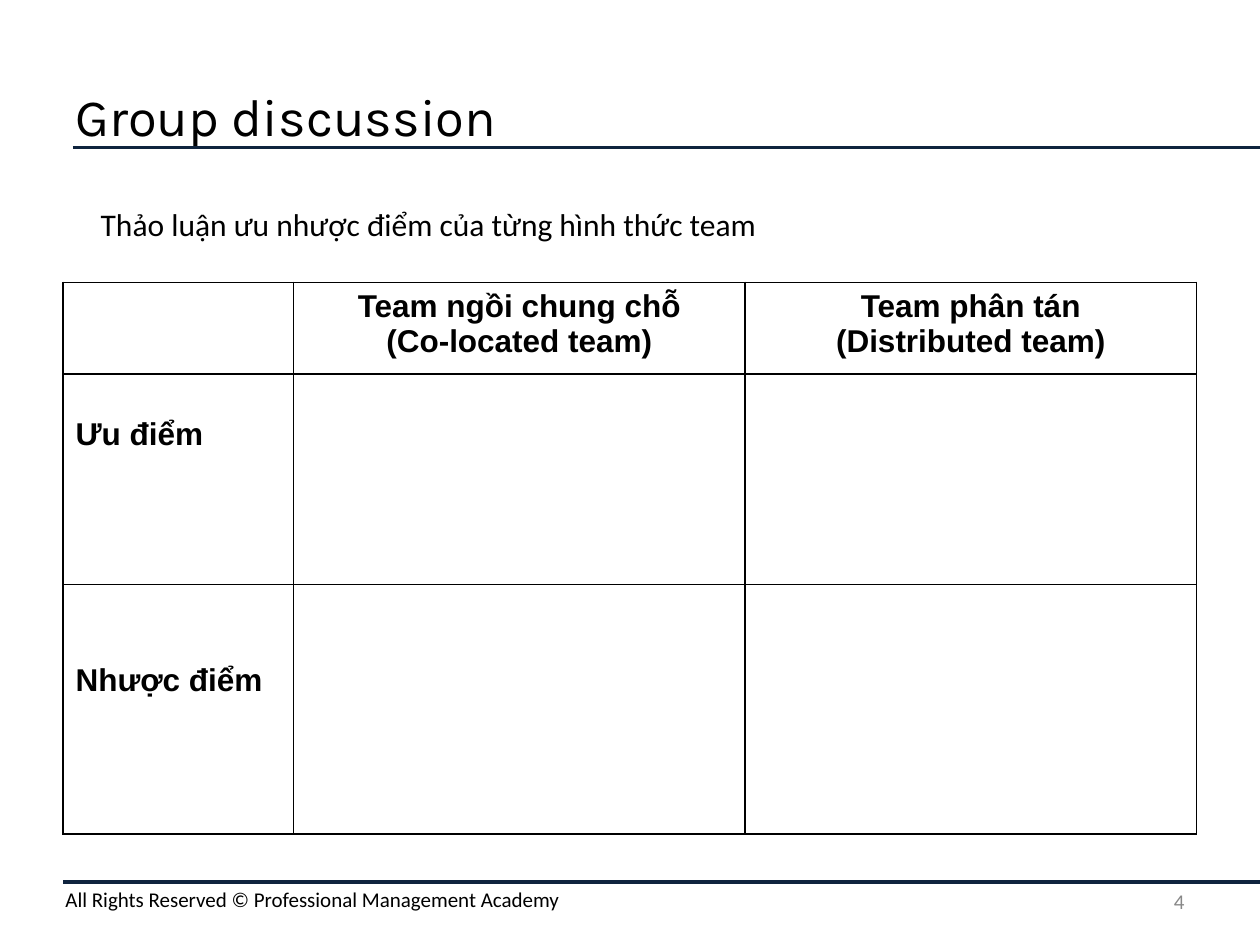
from dataclasses import dataclass
from typing import Any

from lxml.etree import SubElement
from pptx import Presentation
from pptx.dml.color import RGBColor
from pptx.enum.shapes import MSO_CONNECTOR
from pptx.enum.text import MSO_ANCHOR, MSO_AUTO_SIZE, PP_ALIGN
from pptx.oxml.ns import qn
from pptx.util import Cm, Pt


@dataclass(frozen=True)
class Theme:
    ink: str = "000000"
    navy: str = "0F243E"
    gray: str = "888888"
    head: str = "Karla"
    body: str = "Calibri"
    grid: str = "Arial"
    large: int = 30
    base: int = 18
    small: int = 12


@dataclass(frozen=True)
class Box:
    left: float
    top: float
    width: float
    height: float

    def place(self) -> tuple[Cm, Cm, Cm, Cm]:
        return Cm(self.left), Cm(self.top), Cm(self.width), Cm(self.height)


@dataclass(frozen=True)
class Rule:
    left: float
    top: float


@dataclass(frozen=True)
class Note:
    text: str
    box: Box
    style: dict[str, Any]


THEME = Theme()
WIDTH, HEIGHT = 25.4, 19.05
RULES = [Rule(1.47, 2.97), Rule(1.27, 17.78)]
NOTES = [
    Note("All Rights Reserved © Professional Management Academy",
         Box(1.07, 17.75, 24.33, 0.77), dict(size=THEME.small)),
    Note("4", Box(18.21, 17.65, 5.92, 1.02),
         dict(size=THEME.small, color=THEME.gray, align=PP_ALIGN.RIGHT,
              anchor=MSO_ANCHOR.MIDDLE)),
    Note("Thảo luận ưu nhược điểm của từng hình thức team",
         Box(1.78, 4.01, 15.14, 1.02), {}),
]
COLS = [4.65, 9.1, 9.1]
ROWS = [1.85, 4.24, 5.03]
HEADS = ["Team ngồi chung chỗ\n(Co-located team)",
         "Team phân tán\n(Distributed team)"]
LABELS = ["Ưu điểm", "Nhược điểm"]
INSET, STEP = 0.13, 0.73


def write(frame: Any, text: str, *, font: str = THEME.body,
          size: int = THEME.base, color: str = THEME.ink, bold: bool = False,
          align: PP_ALIGN = PP_ALIGN.LEFT,
          anchor: MSO_ANCHOR = MSO_ANCHOR.TOP) -> None:
    frame.text = text
    frame.word_wrap = True
    frame.vertical_anchor = anchor
    for para in frame.paragraphs:
        para.alignment = align
        para.font.name = font
        para.font.size = Pt(size)
        para.font.bold = bold
        para.font.color.rgb = RGBColor.from_string(color)


def draw_rule(slide: Any, rule: Rule) -> None:
    line = slide.shapes.add_connector(
        MSO_CONNECTOR.STRAIGHT, Cm(rule.left), Cm(rule.top),
        Cm(WIDTH), Cm(rule.top))
    line.line.color.rgb = RGBColor.from_string(THEME.navy)
    line.line.width = Pt(2)
    SubElement(line._element.spPr, qn("a:effectLst"))


def draw_note(slide: Any, note: Note) -> None:
    frame = slide.shapes.add_textbox(*note.box.place()).text_frame
    write(frame, note.text, **note.style)
    frame.auto_size = MSO_AUTO_SIZE.NONE


def frame_cell(cell: Any) -> None:
    props = cell._tc.get_or_add_tcPr()
    for side in ("lnL", "lnR", "lnT", "lnB"):
        edge = SubElement(props, qn(f"a:{side}"), w=str(Pt(1)))
        fill = SubElement(edge, qn("a:solidFill"))
        SubElement(fill, qn("a:srgbClr"), val=THEME.ink)
    cell.fill.background()


def draw_table(slide: Any) -> None:
    box = Box(1.27, 5.69, sum(COLS), sum(ROWS))
    table = slide.shapes.add_table(len(ROWS), len(COLS), *box.place()).table
    table.first_row = table.horz_banding = False
    for col, width in zip(table.columns, COLS):
        col.width = Cm(width)
    for row, height in zip(table.rows, ROWS):
        row.height = Cm(height)
    for cell in table.iter_cells():
        frame_cell(cell)
    for index, text in enumerate(HEADS, 1):
        write(table.cell(0, index).text_frame, text, font=THEME.grid,
              bold=True, align=PP_ALIGN.CENTER)
    for index, text in enumerate(LABELS, 1):
        cell = table.cell(index, 0)
        cell.margin_top = Cm(INSET + index * STEP)
        write(cell.text_frame, text, font=THEME.grid, bold=True)


def main() -> None:
    deck = Presentation()
    deck.slide_width, deck.slide_height = Cm(WIDTH), Cm(HEIGHT)
    slide = deck.slides.add_slide(deck.slide_layouts[5])
    for rule in RULES:
        draw_rule(slide, rule)
    title = slide.shapes.title
    title.left, title.top, title.width, title.height = Box(
        1.27, 1.27, 22.86, 2.11).place()
    write(title.text_frame, "Group discussion", font=THEME.head,
          size=THEME.large, anchor=MSO_ANCHOR.MIDDLE)
    draw_table(slide)
    for note in NOTES:
        draw_note(slide, note)
    deck.save("out.pptx")


if __name__ == "__main__":
    main()
